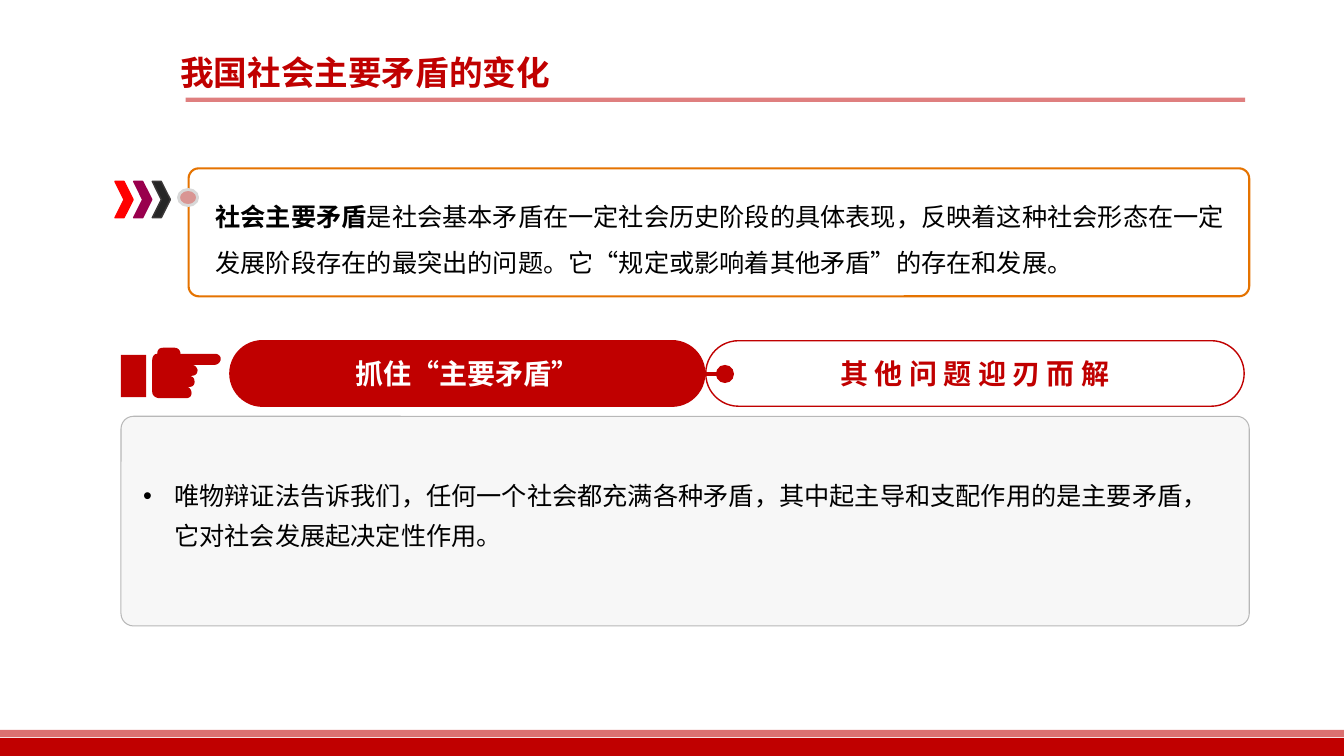
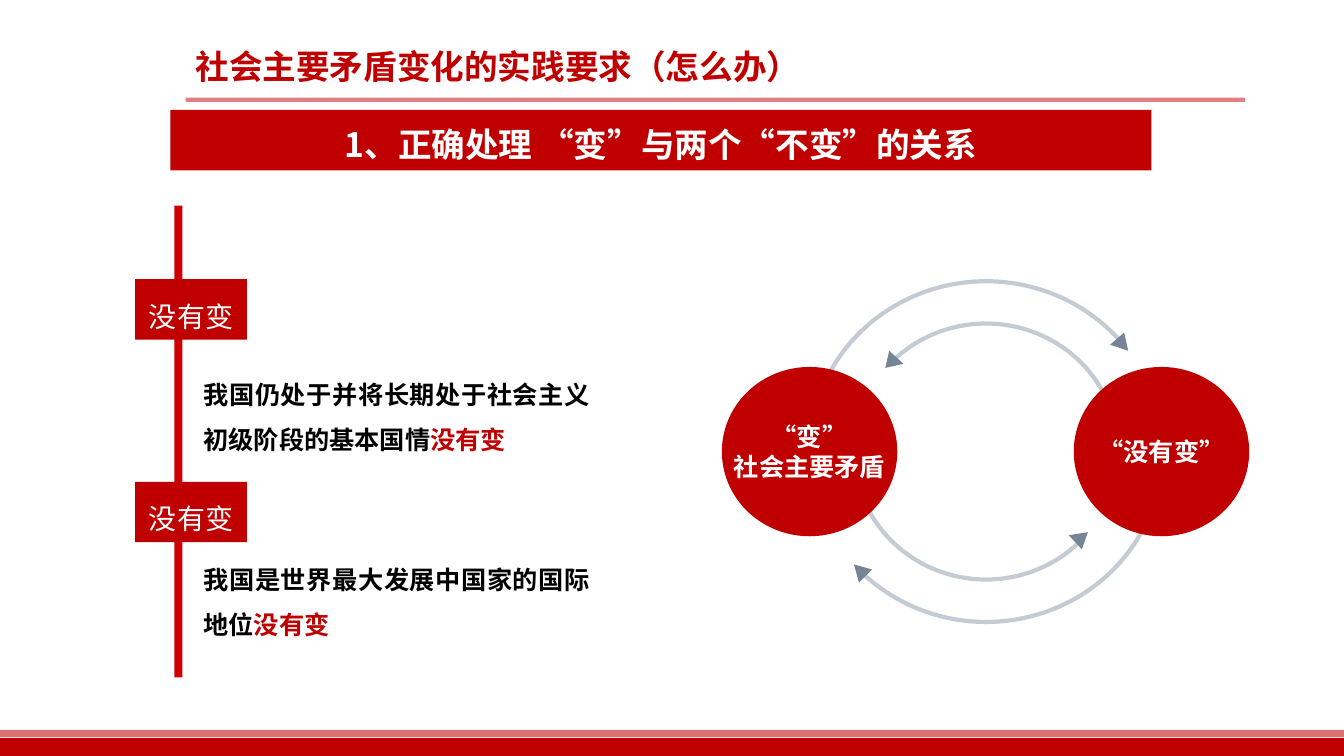
from lxml.etree import SubElement
from pptx import Presentation
from pptx.dml.color import RGBColor
from pptx.enum.lang import MSO_LANGUAGE_ID as LANG
from pptx.enum.shapes import MSO_CONNECTOR, MSO_SHAPE as SHAPE
from pptx.enum.text import MSO_ANCHOR as ANCHOR, PP_ALIGN as ALIGN
from pptx.oxml.ns import qn
from pptx.util import Inches, Pt

FONT = "Noto Sans CJK SC"
RED, WHITE, BLACK, SLATE = "C00000", "FFFFFF", "000000", "778495"


def rgb(value):
    """Turn a hex string into a colour."""
    return RGBColor.from_string(value)


def bezier(start, curve, steps=8):
    """Return points along a cubic curve given as two controls and an end."""
    knots = [start, curve[:2], curve[2:4], curve[4:]]
    points = []
    for step in range(1, steps + 1):
        t = step / steps
        weights = ((1 - t) ** 3, 3 * t * (1 - t) ** 2, 3 * t * t * (1 - t), t ** 3)
        points.append(tuple(sum(w * knot[axis] for w, knot in zip(weights, knots))
                            for axis in (0, 1)))
    return points


class Deck:
    """Holds the presentation, its style and the current slide."""

    def __init__(self):
        """Open a wide presentation."""
        self.show = Presentation()
        self.show.slide_width, self.show.slide_height = Inches(13.33), Inches(7.5)
        self.slide = None

    def page(self, title, left, top):
        """Start a slide with footer bands, title and title rule."""
        self.slide = self.show.slides.add_slide(self.show.slide_layouts[6])
        self.shape(SHAPE.RECTANGLE, (0, 7.32, 13.33, 0.18), RED)
        self.shape(SHAPE.RECTANGLE, (0, 7.24, 13.33, 0.07), RED, alpha=56)
        self.shape(SHAPE.RECTANGLE, (1.84, 0.97, 10.51, 0.04), RED, alpha=50)
        self.text((left, top, 10.19, 0.5), [[(title, RED, True)]], 24)

    def paint(self, shape, fill=None, line=None, width=1, alpha=None):
        """Apply fill, outline and opacity to a shape."""
        shape.shadow.inherit = False
        if fill:
            shape.fill.solid()
            shape.fill.fore_color.rgb = rgb(fill)
        else:
            shape.fill.background()
        if line:
            shape.line.color.rgb = rgb(line)
            shape.line.width = Pt(width)
        else:
            shape.line.fill.background()
        if alpha:
            colour = next(shape.element.spPr.iter(qn("a:srgbClr")))
            SubElement(colour, qn("a:alpha")).set("val", str(alpha * 1000))
        return shape

    def shape(self, kind, box, fill=None, line=None, width=1, alpha=None, adjust=()):
        """Add a preset shape."""
        shape = self.slide.shapes.add_shape(kind, *map(Inches, box))
        for index, value in enumerate(adjust):
            shape.adjustments[index] = value
        return self.paint(shape, fill, line, width, alpha)

    def outline(self, start, moves, fill):
        """Add a closed outline of straight (2 numbers) and curved (6 numbers) moves."""
        points = [start]
        for move in moves:
            points += [move] if len(move) == 2 else bezier(points[-1], move)
        builder = self.slide.shapes.build_freeform(*map(Inches, start))
        builder.add_line_segments([tuple(map(Inches, point)) for point in points[1:]])
        return self.paint(builder.convert_to_shape(), fill)

    def arc(self, centre, radii, start, end):
        """Add a pale arc that runs clockwise between two angles."""
        (x, y), (rx, ry) = centre, radii
        self.shape(SHAPE.ARC, (x - rx, y - ry, 2 * rx, 2 * ry), line=SLATE, width=3,
                   alpha=42, adjust=(start * 0.6, end * 0.6))

    def connector(self, start, end, colour, width):
        """Add a straight line."""
        line = self.slide.shapes.add_connector(
            MSO_CONNECTOR.STRAIGHT, *map(Inches, start + end))
        line.line.color.rgb = rgb(colour)
        line.line.width = Pt(width)
        SubElement(line.element.spPr, qn("a:effectLst"))

    def typeset(self, shape, paragraphs, size, align=ALIGN.CENTER, spacing=None, bullet=False):
        """Fill a shape with paragraphs, each a list of (text, colour, bold) runs."""
        frame = shape.text_frame
        frame.text = "\n".join("" for _ in paragraphs)
        for paragraph, runs in zip(frame.paragraphs, paragraphs):
            paragraph.alignment = align
            if spacing:
                paragraph.line_spacing = spacing
            if bullet:
                props = paragraph._p.get_or_add_pPr()
                props.set("marL", str(Inches(0.31)))
                props.set("indent", str(-Inches(0.31)))
                SubElement(props, qn("a:buFont")).set("typeface", "Arial")
                SubElement(props, qn("a:buChar")).set("char", "•")
            for words, colour, bold in runs:
                run = paragraph.add_run()
                run.text = words
                font = run.font
                font.size, font.bold, font.name = Pt(size), bold, FONT
                font.color.rgb = rgb(colour)
                font.language_id = LANG.SIMPLIFIED_CHINESE
                SubElement(run._r.get_or_add_rPr(), qn("a:ea")).set("typeface", FONT)

    def text(self, box, paragraphs, size, align=ALIGN.LEFT, spacing=None, bullet=False):
        """Add a wrapping text box."""
        area = self.slide.shapes.add_textbox(*map(Inches, box))
        area.text_frame.word_wrap = True
        self.typeset(area, paragraphs, size, align, spacing, bullet)

    def label(self, shape, lines, size, colour=WHITE, bold=True, spacing=None, wrap=True):
        """Set centred lines inside a shape."""
        shape.text_frame.vertical_anchor = ANCHOR.MIDDLE
        shape.text_frame.word_wrap = wrap
        self.typeset(shape, [[(line, colour, bold)] for line in lines], size, spacing=spacing)


def definition_slide(deck):
    """Build the slide that defines the main contradiction."""
    deck.page("我国社会主要矛盾的变化", 1.69, 0.47)

    chevrons = [("FF0000", "FF0000"), ("99004D", "99004D"), ("262626", "3B3838")]
    for index, (fill, edge) in enumerate(chevrons):
        deck.shape(SHAPE.CHEVRON, (1.14 + index * 0.185, 1.8, 0.18, 0.36), fill, edge)
    deck.shape(SHAPE.ROUNDED_RECTANGLE, (1.87, 1.67, 10.52, 1.27), line="E57300",
               width=1.5, adjust=(0.08,))
    deck.shape(SHAPE.FLOWCHART_CONNECTOR, (1.77, 1.88, 0.19, 0.16), "D99593", "D8D8D8", 2)
    deck.text((2.04, 1.8, 10.3, 1.01), [[
        ("社会主要矛盾", BLACK, True),
        ("是社会基本矛盾在一定社会历史阶段的具体表现，反映着这种社会形态在一定发展阶段存在的最突出的问题。"
         "它“规定或影响着其他矛盾”的存在和发展。", BLACK, False)]], 18, spacing=1.5)

    pills = [(2.28, 4.71, RED, WHITE, "抓住“主要矛盾”"),
             (7, 5.34, WHITE, RED, "其 他 问 题 迎 刃 而 解")]
    for left, width, fill, colour, words in pills:
        pill = deck.shape(SHAPE.ROUNDED_RECTANGLE, (left, 3.38, width, 0.65), fill, RED,
                          adjust=(0.5,))
        deck.label(pill, [words], 20, colour)
    deck.connector((6.83, 3.71), (7.12, 3.71), RED, 2.25)
    deck.shape(SHAPE.OVAL, (7.1, 3.62, 0.18, 0.18), RED)

    hand = [
        (1.9, 3.87, 1.88, 3.84, 1.85, 3.84), (1.87, 3.84),
        (1.91, 3.84, 1.93, 3.82, 1.93, 3.79), (1.93, 3.75, 1.91, 3.73, 1.87, 3.73),
        (1.91, 3.73, 1.96, 3.73, 1.96, 3.67), (1.95, 3.64, 1.93, 3.62, 1.9, 3.62),
        (2.13, 3.62), (2.16, 3.62, 2.19, 3.59, 2.19, 3.56),
        (2.19, 3.53, 2.16, 3.51, 2.13, 3.51), (1.79, 3.51),
        (1.79, 3.47, 1.76, 3.45, 1.73, 3.45), (1.62, 3.45),
        (1.58, 3.45, 1.56, 3.47, 1.56, 3.51), (1.53, 3.51, 1.51, 3.54, 1.51, 3.57),
        (1.51, 3.89), (1.51, 3.92, 1.54, 3.95, 1.58, 3.95), (1.85, 3.95),
        (1.88, 3.95, 1.9, 3.93, 1.9, 3.9)]
    deck.outline((1.9, 3.9), hand, RED)
    deck.shape(SHAPE.RECTANGLE, (1.2, 3.52, 0.25, 0.42), RED)

    deck.shape(SHAPE.ROUNDED_RECTANGLE, (1.2, 4.13, 11.19, 2.08), "F2F2F2", "B8B8B8",
               0.75, alpha=60, adjust=(0.06,))
    deck.text((1.32, 4.63, 10.82, 0.85), [[
        ("唯物辩证法告诉我们，任何一个社会都充满各种矛盾，其中起主导和支配作用的是主要矛盾，"
         "它对社会发展起决定性作用。", BLACK, False)]], 18, spacing=1.3, bullet=True)


def practice_slide(deck):
    """Build the slide on what changed and what did not."""
    deck.page("社会主要矛盾变化的实践要求（怎么办）", 1.84, 0.41)
    heading = deck.shape(SHAPE.RECTANGLE, (1.69, 1.09, 9.73, 0.6), RED)
    deck.label(heading, ["1、正确处理 “变”与两个“不变”的关系"], 24, spacing=1.2)

    deck.shape(SHAPE.RECTANGLE, (1.73, 2.04, 0.08, 4.68), "D00000")
    constants = [(2.77, 3.56, "我国仍处于并将长期处于社会主义初级阶段的基本国情"),
                 (4.78, 5.4, "我国是世界最大发展中国家的国际地位")]
    for tag_top, text_top, fact in constants:
        tag = deck.shape(SHAPE.RECTANGLE, (1.34, tag_top, 1.11, 0.6), RED)
        deck.label(tag, ["没有变"], 20, bold=False, spacing=1.4)
        deck.text((1.92, text_top, 4.03, 1.01),
                  [[(fact, BLACK, True), ("没有变", RED, True)]], 18, ALIGN.JUSTIFY, 1.5)

    centre, outer, inner = (9.78, 4.48), (1.75, 1.69), (1.31, 1.27)
    for radii, start, end in [(outer, 180, 320), (inner, 44, 184),
                              (inner, 224, 0), (outer, 0, 137)]:
        deck.arc(centre, radii, start, end)
    arrowheads = [((11.15, 3.3), (11.01, 3.42), (11.19, 3.48)),
                  ((10.6, 5.31), (10.73, 5.45), (10.79, 5.28)),
                  ((8.96, 3.61), (8.82, 3.48), (8.78, 3.65)),
                  ((8.52, 5.78), (8.65, 5.65), (8.47, 5.6))]
    for first, second, third in arrowheads:
        deck.outline(first, [second, third, first], SLATE)
    for left, lines in [(7.16, ["“变”", "社会主要矛盾"]), (10.65, ["“没有变”"])]:
        circle = deck.shape(SHAPE.OVAL, (left, 3.64, 1.74, 1.68), RED)
        deck.label(circle, lines, 18, wrap=False)


def main():
    """Build and save both slides."""
    deck = Deck()
    definition_slide(deck)
    practice_slide(deck)
    deck.show.save("out.pptx")


if __name__ == "__main__":
    main()
